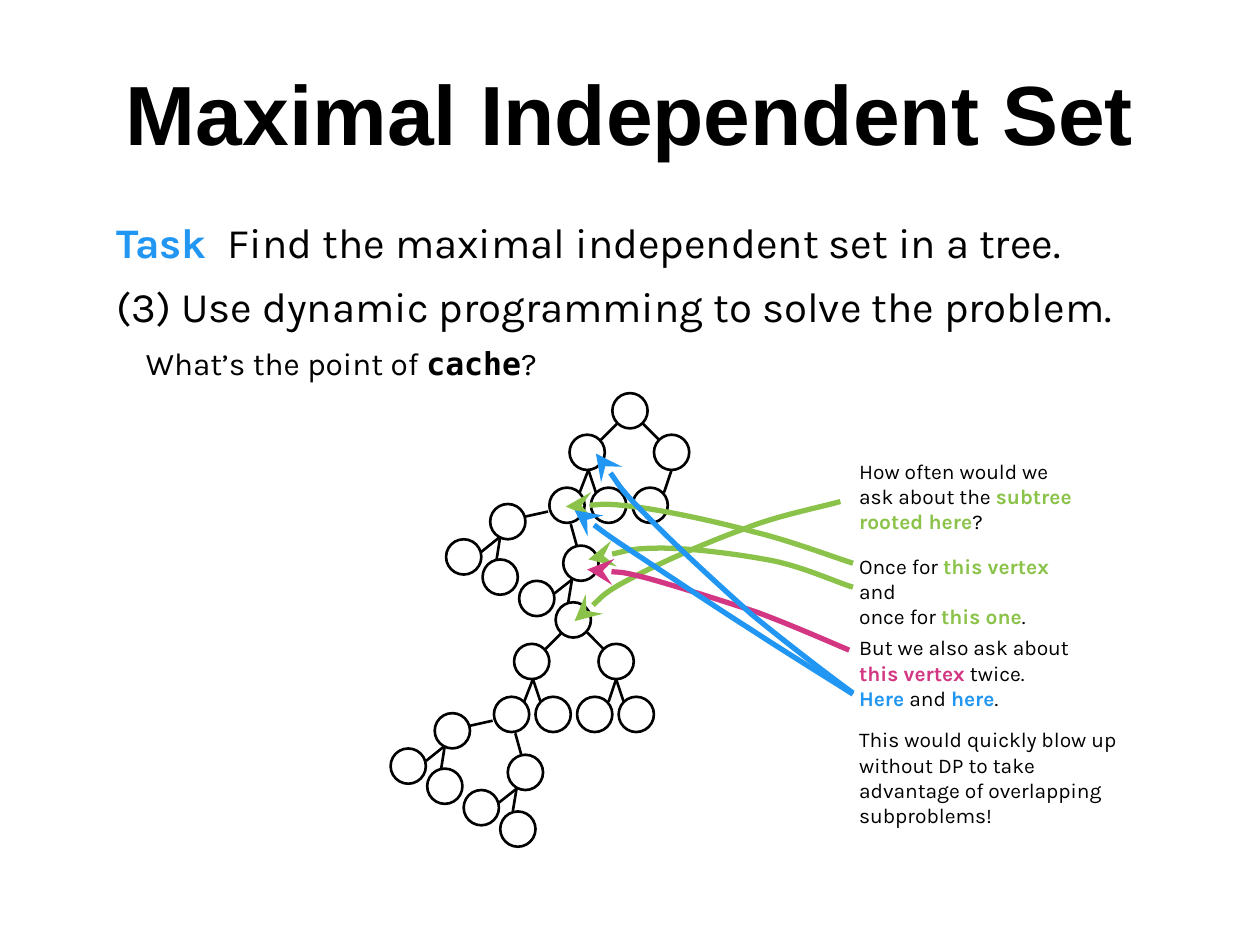
from lxml.etree import SubElement as Sub
from pptx import Presentation
from pptx.dml.color import RGBColor as Rgb
from pptx.enum.shapes import MSO_CONNECTOR as Conn, MSO_SHAPE as Form
from pptx.enum.text import PP_ALIGN as Align
from pptx.oxml.ns import qn
from pptx.util import Inches, Pt


class Theme:
    black = Rgb.from_string("000000")
    blue = Rgb.from_string("2196F3")
    green = Rgb.from_string("8BC34A")
    pink = Rgb.from_string("D33682")
    sans, mono, head = "Karla", "DejaVu Sans Mono", "Arial"
    title, large, mid, small = 48, 24, 18, 12
    thin, thick = Pt(1.5), Pt(3)


def add_text(place, paras, size, font=Theme.sans, top=0.1):
    box = slide.shapes.add_textbox(*map(Inches, place))
    frame = box.text_frame
    frame.word_wrap = True
    frame.margin_top = Inches(top)
    frame.margin_left = frame.margin_right = frame.margin_bottom = Inches(0.1)
    for i, runs in enumerate(paras):
        para = frame.paragraphs[0] if i == 0 else frame.add_paragraph()
        for words, color, *face in runs:
            run = para.add_run()
            run.text = words
            run.font.size = Pt(size)
            run.font.name = face[0] if face else font
            run.font.bold = color != Theme.black or run.font.name != Theme.sans
            run.font.color.rgb = color
    return frame.paragraphs


deck = Presentation()
deck.slide_width, deck.slide_height = Inches(10), Inches(7.5)
slide = deck.slides.add_slide(deck.slide_layouts[6])
black, blue, green, pink = Theme.black, Theme.blue, Theme.green, Theme.pink

title = add_text((0, 0.33, 10, 1.25), [[("Maximal Independent Set", black)]],
                 Theme.title, Theme.head, 0.16)
title[0].alignment = Align.CENTER

body = add_text((0.83, 1.58, 8.67, 5.92), [
    [("Task", blue), ("\tFind the maximal independent set in a tree.", black)],
    [("(3) Use dynamic programming to solve the problem.", black)],
    [("What’s the point of ", black), ("cache", black, Theme.mono), ("?", black)],
], Theme.large, top=0.14)
tabs = Sub(body[0]._p.get_or_add_pPr(), qn("a:tabLst"))
Sub(tabs, qn("a:tab"), pos=str(Inches(0.88)), algn="l")
for para in body[1:]:
    para.space_before = Pt(7.5)
body[2]._p.get_or_add_pPr().set("marL", str(Inches(0.23)))
for run in body[2].runs:
    run.font.size = Pt(Theme.mid)

size = 0.28
nodes = [
    (4.52, 3.45), (5.19, 3.45), (4.36, 3.87), (4.69, 3.87), (5.02, 3.87),
    (3.89, 4), (4.47, 4.33), (3.54, 4.28), (3.83, 4.44), (4.12, 4.61), (4.41, 4.78),
]
edges = [
    (4.9, 3.36, 4.77, 3.49), (5.1, 3.36, 5.23, 3.49), (4.67, 3.73, 4.6, 3.91),
    (4.67, 3.73, 4.73, 3.91), (5.33, 3.73, 5.27, 3.91), (4.35, 4.06, 4.17, 4.1),
    (4.53, 4.16, 4.58, 4.34), (3.97, 4.26, 3.82, 4.38), (3.97, 4.26, 3.94, 4.45),
    (4.54, 4.6, 4.4, 4.71), (4.54, 4.6, 4.51, 4.78),
]
dx, dy = -0.44, 1.66
root, leaf, twig = (4.86, 3.12), (5.35, 3.87), (5.33, 3.73, 5.39, 3.91)
trees = [(0, 0, [root] + nodes, edges), (dx, dy, nodes + [leaf], edges + [twig])]
for x, y, dots, links in trees:
    for left, top in dots:
        dot = slide.shapes.add_shape(Form.OVAL, Inches(left + x), Inches(top + y),
                                     Inches(size), Inches(size))
        dot.shadow.inherit = False
        dot.fill.background()
        dot.line.color.rgb = black
        dot.line.width = Theme.thin
    for x1, y1, x2, y2 in links:
        link = slide.shapes.add_connector(Conn.STRAIGHT, Inches(x1 + x), Inches(y1 + y),
                                          Inches(x2 + x), Inches(y2 + y))
        link.line.color.rgb = black
        link.line.width = Theme.thin
        Sub(link._element.spPr, qn("a:effectLst"))

curves = [
    (green, [(6.67, 3.98), (6.54, 4.02), (6.17, 4.09), (5.9, 4.2), (5.62, 4.3),
             (5.23, 4.47), (5.01, 4.59), (4.78, 4.71), (4.64, 4.87), (4.56, 4.93)]),
    (green, [(6.77, 4.47), (6.64, 4.43), (6.27, 4.29), (5.98, 4.22), (5.69, 4.14),
             (5.27, 4.05), (5.02, 4.02), (4.78, 3.99), (4.58, 4.02), (4.49, 4.02)]),
    (green, [(6.77, 4.66), (6.66, 4.63), (6.38, 4.5), (6.13, 4.45), (5.87, 4.4),
             (5.49, 4.35), (5.25, 4.35), (5.01, 4.35), (4.77, 4.42), (4.67, 4.44)]),
    (pink, [(6.74, 5.16), (6.62, 5.11), (6.28, 4.96), (6.01, 4.86), (5.74, 4.77),
            (5.36, 4.65), (5.14, 4.59), (4.91, 4.53), (4.74, 4.53), (4.66, 4.52)]),
    (blue, [(6.77, 5.51), (6.63, 5.42), (6.24, 5.18), (5.95, 4.99), (5.65, 4.8),
            (5.25, 4.53), (5.02, 4.38), (4.78, 4.22), (4.64, 4.11), (4.56, 4.05)]),
    (blue, [(6.77, 5.5), (6.63, 5.4), (6.25, 5.11), (5.97, 4.88), (5.7, 4.64),
            (5.32, 4.29), (5.12, 4.08), (4.91, 3.87), (4.8, 3.68), (4.73, 3.6)]),
]
for color, points in curves:
    start, *rest = [(Inches(x), Inches(y)) for x, y in points]
    pen = slide.shapes.build_freeform(*start)
    pen.add_line_segments(rest, close=False)
    curve = pen.convert_to_shape()
    curve.shadow.inherit = False
    curve.fill.background()
    curve.line.color.rgb = color
    curve.line.width = Theme.thick
    Sub(curve.line._get_or_add_ln(), qn("a:tailEnd"), type="stealth", w="lg", len="lg")
    steps = list(curve._element.iter(qn("a:lnTo")))
    track = steps[0].getparent()
    for i in range(0, len(steps), 3):
        bend = Sub(track, qn("a:cubicBezTo"))
        for step in steps[i:i + 3]:
            bend.append(step[0])
            track.remove(step)

notes = [
    (3.54, 1.94, 0.8, [
        [("How often would we ask about the ", black), ("subtree rooted here", green),
         ("?", black)]]),
    (4.29, 1.94, 0.64, [
        [("Once for ", black), ("this vertex", green), (" and", black)],
        [("once for ", black), ("this one", green), (".", black)]]),
    (4.94, 1.94, 0.8, [
        [("But we also ask about ", black), ("this vertex", pink), (" twice.", black)],
        [("Here", blue), (" and ", black), ("here", blue), (".", black)]]),
    (5.67, 2.37, 0.8, [
        [("This would quickly blow up without DP to take advantage of "
          "overlapping subproblems!", black)]]),
]
for top, wide, high, paras in notes:
    add_text((6.72, top, wide, high), paras, Theme.small)

deck.save("out.pptx")
